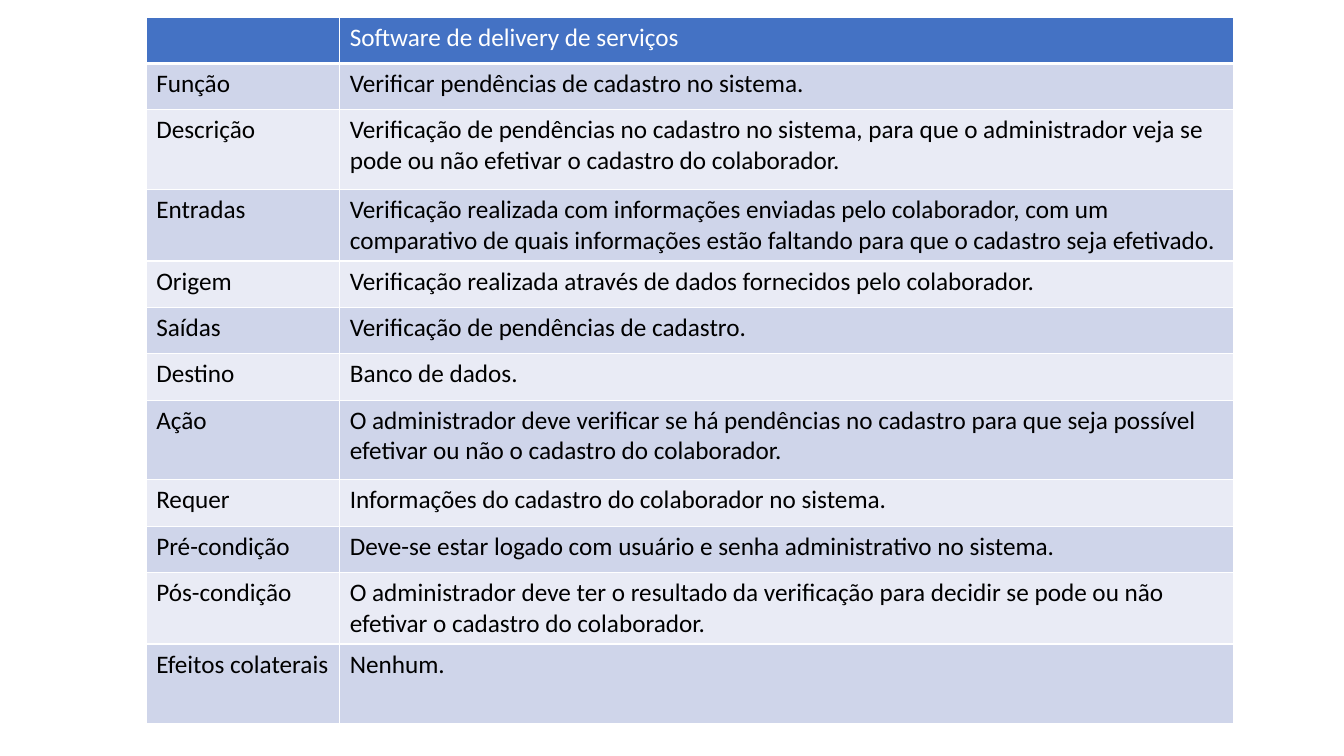
from typing import NamedTuple

from lxml.etree import SubElement
from pptx import Presentation
from pptx.dml.color import RGBColor as RGB
from pptx.oxml.ns import qn
from pptx.table import Table, _Cell as Cell
from pptx.util import Inches, Pt

COLORS = {"header": "4472C4", "odd": "CFD5EA", "even": "E9EBF5",
          "border": "FFFFFF", "header_text": "FFFFFF", "text": "000000"}
FONT, SIZE = "Calibri", 18
SINGLE, DOUBLE = 0.46, 0.79
COLUMN_WIDTHS = (1.92, 8.87)


class Row(NamedTuple):
    """One line of the requirement table."""
    label: str
    detail: str
    height: float = SINGLE


ROWS = [
    Row("", "Software de delivery de serviços"),
    Row("Função", "Verificar pendências de cadastro no sistema."),
    Row("Descrição", "Verificação de pendências no cadastro no sistema, para que o "
        "administrador veja se pode ou não efetivar o cadastro do colaborador.", DOUBLE),
    Row("Entradas", "Verificação realizada com informações enviadas pelo colaborador, com um "
        "comparativo de quais informações estão faltando para que o cadastro seja efetivado."),
    Row("Origem", "Verificação realizada através de dados fornecidos pelo colaborador."),
    Row("Saídas", "Verificação de pendências de cadastro."),
    Row("Destino", "Banco de dados."),
    Row("Ação", "O administrador deve verificar se há pendências no cadastro para que seja "
        "possível efetivar ou não o cadastro do colaborador.", DOUBLE),
    Row("Requer", "Informações do cadastro do colaborador no sistema."),
    Row("Pré-condição", "Deve-se estar logado com usuário e senha administrativo no sistema."),
    Row("Pós-condição", "O administrador deve ter o resultado da verificação para decidir se "
        "pode ou não efetivar o cadastro do colaborador."),
    Row("Efeitos colaterais", "Nenhum.", DOUBLE),
]


def set_borders(cell: Cell, bottom: float) -> None:
    """Draw thin borders, with the given bottom width in points."""
    tc_pr = cell._tc.get_or_add_tcPr()
    for side, width in (("L", 1), ("R", 1), ("T", 1), ("B", bottom)):
        line = SubElement(tc_pr, qn(f"a:ln{side}"), w=str(Pt(width)))
        fill = SubElement(line, qn("a:solidFill"))
        SubElement(fill, qn("a:srgbClr"), val=COLORS["border"])


def fill_cell(cell: Cell, text: str, fill: str, color: str, bottom: float) -> None:
    """Write and style one cell."""
    set_borders(cell, bottom)
    cell.fill.solid()
    cell.fill.fore_color.rgb = RGB.from_string(COLORS[fill])
    cell.text = text
    font = cell.text_frame.paragraphs[0].font
    font.name, font.size, font.bold = FONT, Pt(SIZE), False
    font.color.rgb = RGB.from_string(COLORS[color])


def fill_row(table: Table, index: int, row: Row) -> None:
    """Fill a row, as header or as a coloured band."""
    table.rows[index].height = Inches(row.height)
    if index == 0:
        style = ("header", "header_text", 3)
    else:
        style = ("odd" if index % 2 else "even", "text", 1)
    for column, text in enumerate((row.label, row.detail)):
        fill_cell(table.cell(index, column), text, *style)


prs = Presentation()
prs.slide_width, prs.slide_height = Inches(13.33), Inches(7.5)
s = prs.slides.add_slide(prs.slide_layouts[6])
table = s.shapes.add_table(
    len(ROWS), len(COLUMN_WIDTHS), Inches(1.45), Inches(0.17),
    Inches(sum(COLUMN_WIDTHS)), Inches(sum(row.height for row in ROWS))).table
for column, width in zip(table.columns, COLUMN_WIDTHS):
    column.width = Inches(width)
for index, row in enumerate(ROWS):
    fill_row(table, index, row)
prs.save("out.pptx")
